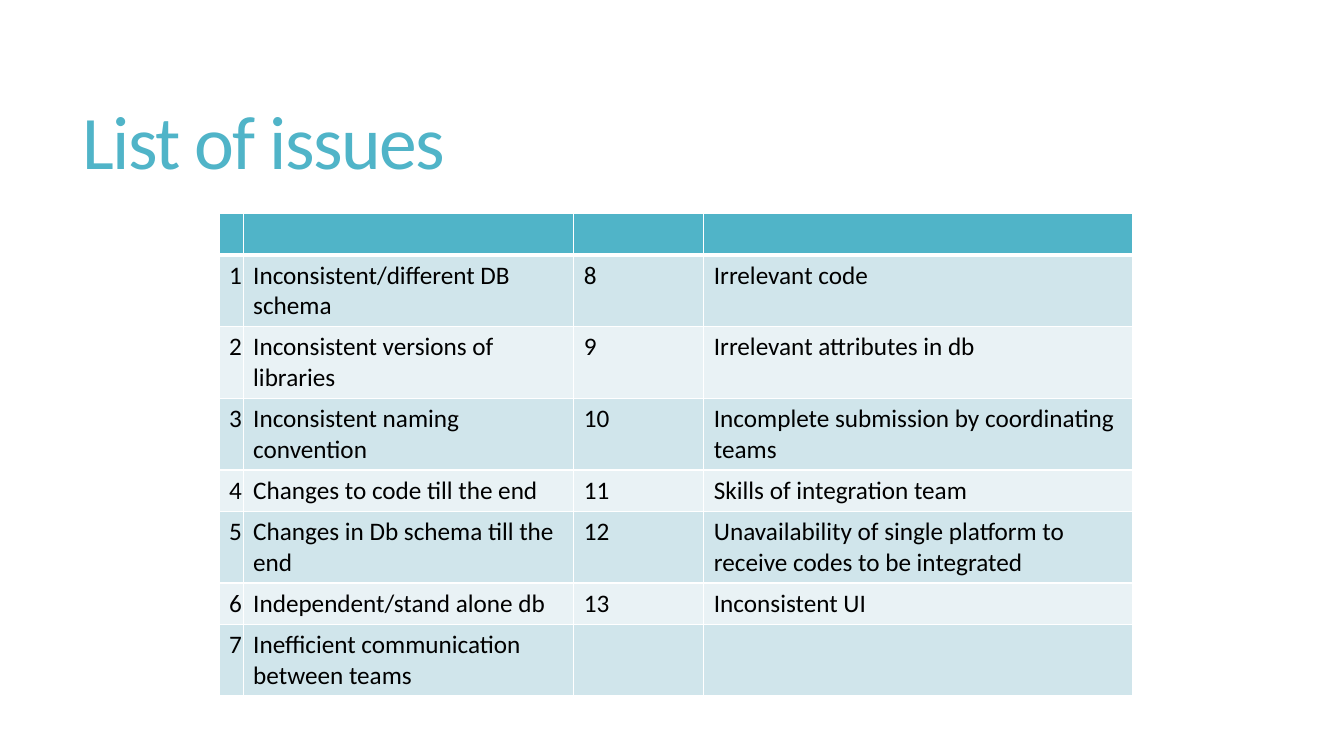
from lxml.etree import SubElement
from pptx import Presentation
from pptx.dml.color import RGBColor
from pptx.enum.text import MSO_ANCHOR as Anchor, MSO_AUTO_SIZE as Fit, PP_ALIGN as Align
from pptx.oxml.ns import qn
from pptx.util import Cm, Pt

TEAL, DARK, PALE = "50B4C8", "D0E5EB", "E9F2F5"
WHITE, BLACK = "FFFFFF", "000000"

WIDTHS = 0.58, 8.33, 3.28, 10.8
ROW = 1.04
ISSUES = [
    "Inconsistent/different DB schema",
    "Inconsistent versions of libraries",
    "Inconsistent naming convention",
    "Changes to code till the end",
    "Changes in Db schema till the end",
    "Independent/stand alone db",
    "Inefficient communication between teams",
    "Irrelevant code",
    "Irrelevant attributes in db",
    "Incomplete submission by coordinating teams",
    "Skills of integration team",
    "Unavailability of single platform to receive codes to be integrated",
    "Inconsistent UI",
]
HALF = (len(ISSUES) + 1) // 2


def color(code):
    return RGBColor.from_string(code)


def add_run(para, text, size, code):
    run = para.add_run()
    run.text = text
    font = run.font
    font.name, font.size = "Calibri", Pt(size)
    font.color.rgb = color(code)
    return run


def add_title(slide, left, top, width, height):
    title = slide.shapes.title
    title.left, title.top = Cm(left), Cm(top)
    title.width, title.height = Cm(width), Cm(height)
    frame = title.text_frame
    frame.word_wrap = True
    frame.auto_size = Fit.NONE
    frame.vertical_anchor = Anchor.MIDDLE
    para = frame.paragraphs[0]
    para.alignment = Align.LEFT
    para.line_spacing = 0.85
    run = add_run(para, "List of issues", 54, TEAL)
    run.font._element.set("spc", "-120")


def add_edges(cell, top, bottom):
    """Draw white cell borders; top and bottom are widths in points."""
    props = cell._tc.get_or_add_tcPr()
    for side, width in zip("LRTB", (1, 1, top, bottom)):
        line = SubElement(props, qn(f"a:ln{side}"), w=str(Pt(width)))
        fill = SubElement(line, qn("a:solidFill"))
        SubElement(fill, qn("a:srgbClr"), val=WHITE)


def get_rows():
    """Pair the two halves of the numbered list under a blank header."""
    items = [(str(num), issue) for num, issue in enumerate(ISSUES, 1)]
    items += [("", "")] * (2 * HALF - len(items))
    pairs = zip(items[:HALF], items[HALF:])
    return [("",) * 4] + [left + right for left, right in pairs]


def add_issues(slide, left, top):
    rows = get_rows()
    frame = slide.shapes.add_table(
        len(rows), len(WIDTHS), Cm(left), Cm(top),
        Cm(sum(WIDTHS)), Cm(ROW * len(rows)))
    table = frame.table
    for col, width in zip(table.columns, WIDTHS):
        col.width = Cm(width)
    for i, texts in enumerate(rows):
        table.rows[i].height = Cm(ROW)
        shade = TEAL if i == 0 else DARK if i % 2 else PALE
        for cell, text in zip(table.rows[i].cells, texts):
            add_edges(cell, 3 if i == 1 else 1, 3 if i == 0 else 1)
            cell.fill.solid()
            cell.fill.fore_color.rgb = color(shade)
            if text:
                add_run(cell.text_frame.paragraphs[0], text, 18, BLACK)


def main():
    deck = Presentation()
    deck.slide_width, deck.slide_height = Cm(33.87), Cm(19.05)
    slide = deck.slides.add_slide(deck.slide_layouts[5])
    slide.background.fill.solid()
    slide.background.fill.fore_color.rgb = color(WHITE)
    add_title(slide, 1.83, 1.4, 29.92, 4.6)
    add_issues(slide, 5.52, 5.39)
    deck.save("out.pptx")


if __name__ == "__main__":
    main()
